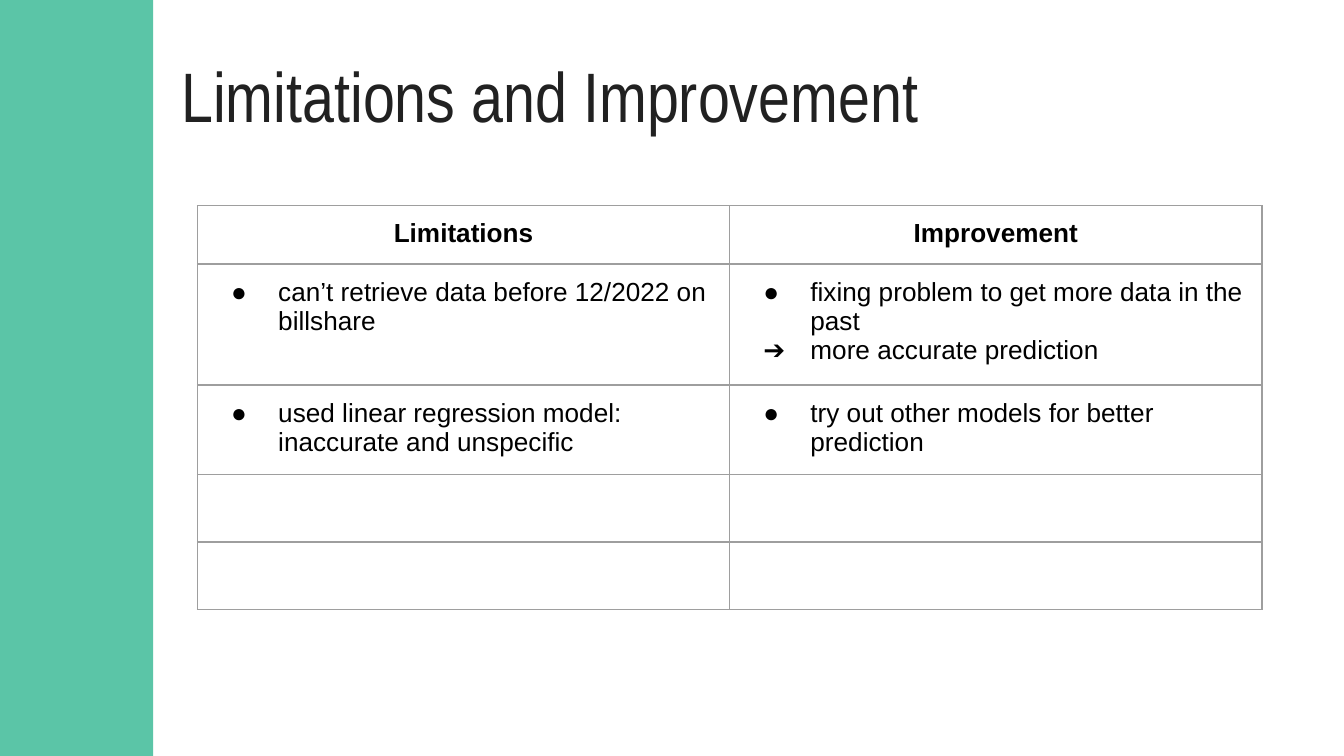
import pptx
import pptx.dml.color
import pptx.enum.shapes
import pptx.enum.text
import pptx.oxml.ns
import pptx.util
from lxml import etree

Inches = pptx.util.Inches
Pt = pptx.util.Pt
ALIGN = pptx.enum.text.PP_ALIGN
ANCHOR = pptx.enum.text.MSO_ANCHOR

TITLE = "Limitations and Improvement"
HEADERS = ["Limitations", "Improvement"]
# Each cell is a list of (bullet, text) items.
ROWS = [
    [
        [("●", "can’t retrieve data before 12/2022 on billshare")],
        [("●", "fixing problem to get more data in the past"),
         ("➔", "more accurate prediction")],
    ],
    [
        [("●", "used linear regression model: inaccurate and unspecific")],
        [("●", "try out other models for better prediction")],
    ],
    [[], []],
    [[], []],
]

COLORS = {"band": "5BC5A7", "title": "212121", "text": "000000", "border": "9E9E9E"}
WIDTH = 10
HEIGHT = WIDTH * 9 / 16
BAND_WIDTH = 1.14
TABLE_LEFT, TABLE_TOP = 1.47, 1.53
COLUMN_WIDTH = 3.96
ROW_HEIGHT = 0.42  # a minimum: rows grow with their text
PADDING = 0.1
INDENT, HANGING = 0.5, 0.35


def rgb(name):
    return pptx.dml.color.RGBColor.from_string(COLORS[name])


def add_element(parent, tag, **attributes):
    return etree.SubElement(parent, pptx.oxml.ns.qn(tag), attributes)


def write(paragraph, text, size=14, font="Arial", color="text", bold=False,
          align=ALIGN.LEFT, bullet=None):
    paragraph.alignment = align
    run = paragraph.add_run()
    run.text = text
    run.font.size = Pt(size)
    run.font.name = font
    run.font.bold = bold
    run.font.color.rgb = rgb(color)
    if bullet:
        properties = paragraph._p.get_or_add_pPr()
        properties.set("marL", str(Inches(INDENT)))
        properties.set("indent", str(-Inches(HANGING)))
        bullet_color = add_element(properties, "a:buClr")
        add_element(bullet_color, "a:srgbClr", val=COLORS[color])
        add_element(properties, "a:buFont", typeface=font)
        add_element(properties, "a:buChar", char=bullet)


def pad(box):
    """Give a text frame or a table cell the same inset on all sides."""
    for side in ("left", "top", "right", "bottom"):
        setattr(box, f"margin_{side}", Inches(PADDING))


def add_borders(cell):
    properties = cell._tc.get_or_add_tcPr()
    for position, side in enumerate(("a:lnL", "a:lnR", "a:lnT", "a:lnB")):
        line = add_element(properties, side, w=str(Pt(0.75)))
        properties.insert(position, line)
        fill = add_element(line, "a:solidFill")
        add_element(fill, "a:srgbClr", val=COLORS["border"])


def add_band(slide):
    band = slide.shapes.add_shape(pptx.enum.shapes.MSO_SHAPE.RECTANGLE, 0, 0,
                                  Inches(BAND_WIDTH), Inches(HEIGHT))
    band.shadow.inherit = False
    band.fill.solid()
    band.fill.fore_color.rgb = rgb("band")
    band.line.fill.background()


def add_title(slide):
    box = slide.shapes.add_textbox(Inches(1.25), Inches(0.29), Inches(9.32), Inches(0.88))
    frame = box.text_frame
    frame.word_wrap = True
    frame.vertical_anchor = ANCHOR.TOP
    pad(frame)
    write(frame.paragraphs[0], TITLE, size=37.5, font="Arial Narrow", color="title")


def add_comparison_table(slide):
    row_count = len(ROWS) + 1
    table = slide.shapes.add_table(
        row_count, len(HEADERS), Inches(TABLE_LEFT), Inches(TABLE_TOP),
        Inches(COLUMN_WIDTH * len(HEADERS)), Inches(ROW_HEIGHT * row_count)).table
    table.first_row = table.horz_banding = False
    for column in table.columns:
        column.width = Inches(COLUMN_WIDTH)
    for row in table.rows:
        row.height = Inches(ROW_HEIGHT)
    for cell in table.iter_cells():
        cell.fill.background()
        pad(cell)
        add_borders(cell)

    for column, header in enumerate(HEADERS):
        write(table.cell(0, column).text_frame.paragraphs[0], header,
              bold=True, align=ALIGN.CENTER)
    for row, contents in enumerate(ROWS, start=1):
        for column, items in enumerate(contents):
            frame = table.cell(row, column).text_frame
            for index, (bullet, text) in enumerate(items):
                paragraph = frame.add_paragraph() if index else frame.paragraphs[0]
                write(paragraph, text, bullet=bullet)


def main():
    presentation = pptx.Presentation()
    presentation.slide_width = Inches(WIDTH)
    presentation.slide_height = Inches(HEIGHT)
    slide = presentation.slides.add_slide(presentation.slide_layouts[6])
    add_title(slide)
    add_band(slide)
    add_comparison_table(slide)
    presentation.save("out.pptx")


if __name__ == "__main__":
    main()
